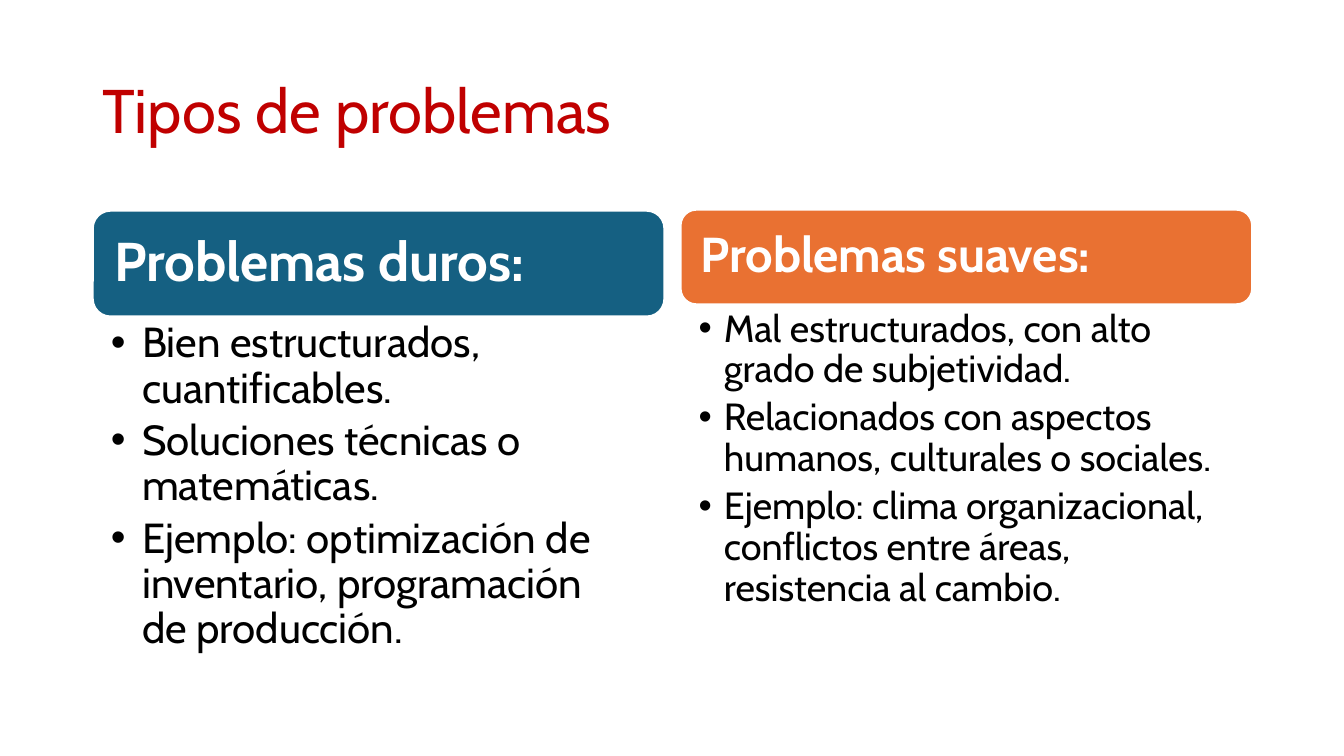
from lxml.etree import SubElement
from pptx import Presentation
from pptx.dml.color import RGBColor
from pptx.enum.shapes import MSO_SHAPE
from pptx.enum.text import MSO_ANCHOR, PP_ALIGN
from pptx.oxml.ns import qn
from pptx.util import Inches, Pt

FONT = "Cabin"
RED = RGBColor(0xC0, 0x00, 0x00)
BLUE = RGBColor(0x15, 0x60, 0x82)
ORANGE = RGBColor(0xE9, 0x71, 0x32)
WHITE = RGBColor(0xFF, 0xFF, 0xFF)
BLACK = RGBColor(0x00, 0x00, 0x00)

LEFT = 0.92
COLUMN_WIDTH = 5.67
COLUMN_STEP = 5.83
COLUMN_BOTTOM = 6.66

COLUMNS = [
    {
        "heading": "Problemas duros:", "color": BLUE, "top": 2.09, "height": 1.05,
        "heading_size": 39, "heading_inset": 0.16,
        "size": 30, "indent": 0.31, "right_inset": 0.3,
        "items": [
            "Bien estructurados, cuantificables.",
            "Soluciones técnicas o matemáticas.",
            "Ejemplo: optimización de inventario, programación de producción.",
        ],
    },
    {
        "heading": "Problemas suaves:", "color": ORANGE, "top": 2.08, "height": 0.94,
        "heading_size": 35, "heading_inset": 0.15,
        "size": 27, "indent": 0.25, "right_inset": 0.27,
        "items": [
            "Mal estructurados, con alto grado de subjetividad.",
            "Relacionados con aspectos humanos, culturales o sociales.",
            "Ejemplo: clima organizacional, conflictos entre áreas, resistencia al cambio.",
        ],
    },
]


def set_frame(frame, left, top, right, bottom, anchor):
    """Set wrapping, insets in inches and vertical anchor of a text frame."""
    frame.word_wrap = True
    frame.margin_left, frame.margin_top = Inches(left), Inches(top)
    frame.margin_right, frame.margin_bottom = Inches(right), Inches(bottom)
    frame.vertical_anchor = anchor


def write(paragraph, text, size, color, bold=False):
    """Add one formatted run to a left-aligned paragraph."""
    paragraph.alignment = PP_ALIGN.LEFT
    paragraph.line_spacing = 0.9
    run = paragraph.add_run()
    run.text = text
    run.font.name = FONT
    run.font.size = Pt(size)
    run.font.bold = bold
    run.font.color.rgb = color


def add_bullet(paragraph, indent):
    """Give a paragraph a round bullet with a hanging indent in inches."""
    properties = paragraph._p.get_or_add_pPr()
    properties.set("marL", str(Inches(indent)))
    properties.set("indent", str(-Inches(indent)))
    SubElement(properties, qn("a:buFont")).set("typeface", "Arial")
    SubElement(properties, qn("a:buChar")).set("char", "•")


def add_title(slide, text):
    """Add the slide title."""
    box = slide.shapes.add_textbox(Inches(LEFT), Inches(0.4), Inches(11.5), Inches(1.45))
    set_frame(box.text_frame, 0.1, 0.05, 0.1, 0.05, MSO_ANCHOR.MIDDLE)
    write(box.text_frame.paragraphs[0], text, 44, RED)


def add_heading(slide, left, column):
    """Add the rounded heading of a column."""
    shape = slide.shapes.add_shape(
        MSO_SHAPE.ROUNDED_RECTANGLE, Inches(left), Inches(column["top"]),
        Inches(COLUMN_WIDTH), Inches(column["height"]))
    shape.shadow.inherit = False
    shape.fill.solid()
    shape.fill.fore_color.rgb = column["color"]
    shape.line.color.rgb = WHITE
    shape.line.width = Pt(1.5)
    set_frame(shape.text_frame, *[column["heading_inset"]] * 4, MSO_ANCHOR.MIDDLE)
    write(shape.text_frame.paragraphs[0], column["heading"],
          column["heading_size"], WHITE, bold=True)


def add_bullets(slide, left, column):
    """Add the bulleted list below a column heading."""
    top = column["top"] + column["height"]
    box = slide.shapes.add_textbox(
        Inches(left), Inches(top), Inches(COLUMN_WIDTH), Inches(COLUMN_BOTTOM - top))
    frame = box.text_frame
    set_frame(frame, 0.18, 0.05, column["right_inset"], 0.05, MSO_ANCHOR.TOP)
    for index, item in enumerate(column["items"]):
        paragraph = frame.add_paragraph() if index else frame.paragraphs[0]
        add_bullet(paragraph, column["indent"])
        paragraph.space_after = Pt(5)
        write(paragraph, item, column["size"], BLACK)


def main():
    """Build and save the slide."""
    presentation = Presentation()
    presentation.slide_width = Inches(13.33)
    presentation.slide_height = Inches(7.5)
    slide = presentation.slides.add_slide(presentation.slide_layouts[6])
    add_title(slide, "Tipos de problemas")
    for index, column in enumerate(COLUMNS):
        left = LEFT + index * COLUMN_STEP
        add_heading(slide, left, column)
        add_bullets(slide, left, column)
    presentation.save("out.pptx")


if __name__ == "__main__":
    main()
